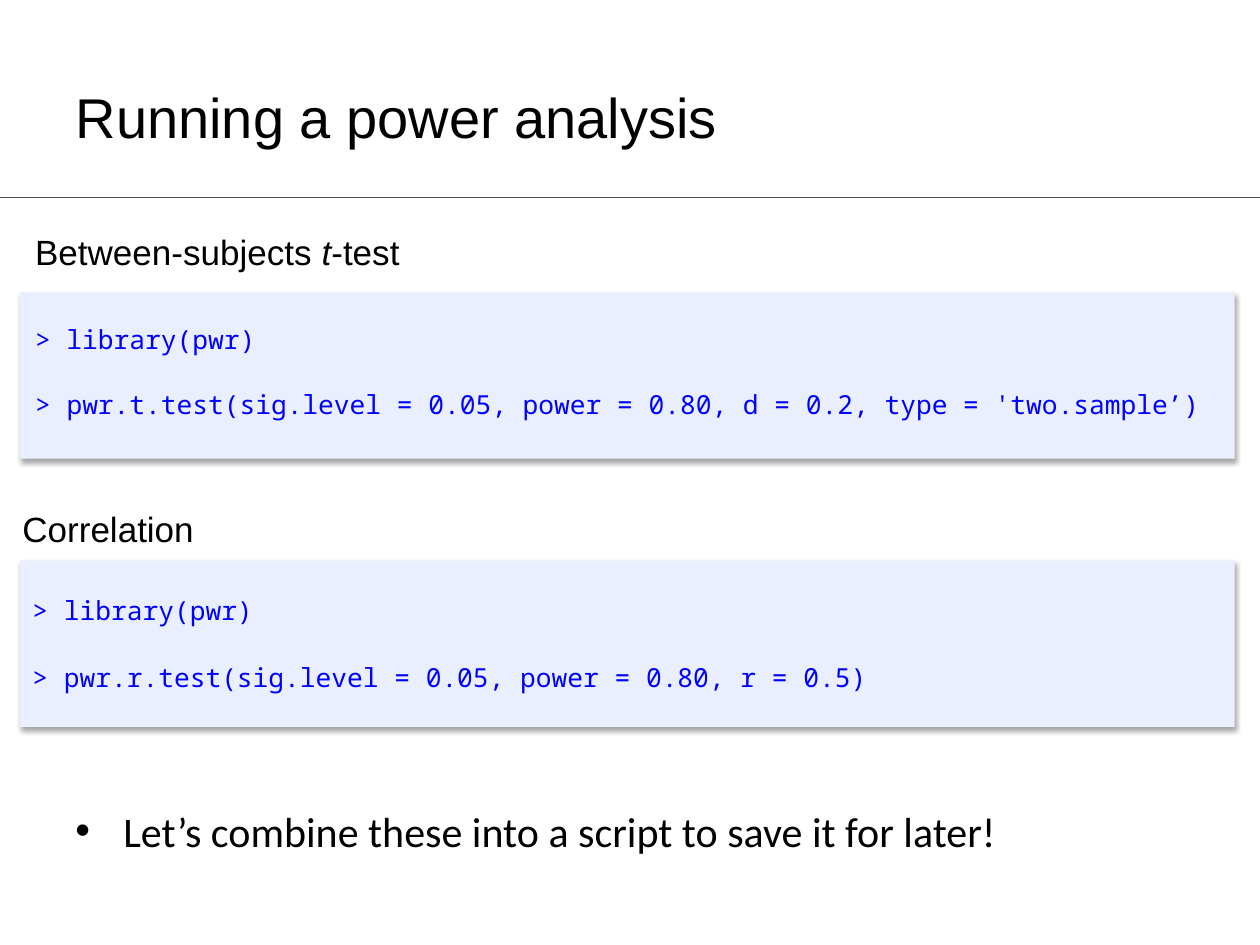
from lxml import etree
from pptx import Presentation
from pptx import util as u
from pptx.dml.color import RGBColor
from pptx.enum import shapes, text
from pptx.oxml import parse_xml
from pptx.oxml.ns import nsdecls, qn

COLORS = {"ink": "000000", "code": "0000FF", "panel": "EAEFFF", "rule": "4B4B4B"}

FORMATS = {
    "title": {"name": "Arial", "size": u.Pt(32)},
    "heading": {"name": "Arial", "size": u.Pt(20)},
    "code": {"name": "Noto Sans Mono", "size": u.Pt(15)},
    "bullet": {"name": "Calibri", "size": u.Pt(24)},
}

TITLE = "Running a power analysis"
CLOSING = "Let’s combine these into a script to save it for later!"

SECTIONS = [
    {
        "heading": [("Between-subjects ", False), ("t", True), ("-test", False)],
        "heading_at": (0.18, 1.78, 3.12, 0.44),
        "panel_top": 2.32,
        "code_left": 0.18,
        "code": [
            ("> library(pwr)", 2.52, 9.64),
            ("> pwr.t.test(sig.level = 0.05, power = 0.80, d = 0.2, type = 'two.sample’)", 3.03, 10.51),
        ],
    },
    {
        "heading": [("Correlation", False)],
        "heading_at": (0.08, 3.98, 1.57, 0.44),
        "panel_top": 4.45,
        "code_left": 0.16,
        "code": [
            ("> library(pwr)", 4.67, 9.64),
            ("> pwr.r.test(sig.level = 0.05, power = 0.80, r = 0.5)", 5.2, 7.06),
        ],
    },
]

SHADOW = (
    f'<a:effectLst {nsdecls("a")}><a:outerShdw blurRad="{u.Pt(3.1)}" dist="{u.Pt(1.8)}" '
    'dir="5400000" rotWithShape="0"><a:srgbClr val="000000"><a:alpha val="35000"/>'
    "</a:srgbClr></a:outerShdw></a:effectLst>"
)


def inches(values):
    return [u.Inches(value) for value in values]


def color(name):
    return RGBColor.from_string(COLORS[name])


def write(frame, pieces, style, ink="ink"):
    para = frame.paragraphs[0]
    para.alignment = text.PP_ALIGN.LEFT
    for words, italic in pieces:
        span = para.add_run()
        span.text = words
        span.font.italic = italic
        span.font.color.rgb = color(ink)
        for key, value in FORMATS[style].items():
            setattr(span.font, key, value)
    return para


def add_text(parent, place, pieces, style, ink="ink", wrap=False):
    frame = parent.add_textbox(*inches(place)).text_frame
    frame.word_wrap = wrap
    frame.auto_size = text.MSO_AUTO_SIZE.SHAPE_TO_FIT_TEXT
    return write(frame, pieces, style, ink)


def add_panel(parent, top):
    panel = parent.add_shape(shapes.MSO_SHAPE.RECTANGLE, *inches((0.16, top, 9.64, 1.32)))
    panel.fill.solid()
    panel.fill.fore_color.rgb = color("panel")
    panel.line.fill.background()
    panel._element.spPr.append(parse_xml(SHADOW))


def add_section(page, section):
    group = page.shapes.add_group_shape().shapes
    add_panel(group, section["panel_top"])
    for line, top, width in section["code"]:
        place = (section["code_left"], top, width, 0.35)
        add_text(group, place, [(line, False)], "code", "code", True)
    add_text(page.shapes, section["heading_at"], section["heading"], "heading")


def add_rule(page):
    rule = page.shapes.add_connector(
        shapes.MSO_CONNECTOR.STRAIGHT, *inches((10, 1.57, 0, 1.57)))
    rule.line.color.rgb = color("rule")
    rule.line.width = u.Pt(0.75)
    etree.SubElement(rule._element.spPr, qn("a:effectLst"))


def add_title(page):
    title = page.shapes.title
    title.left, title.top, title.width, title.height = inches((0.5, 0.3, 9, 1.25))
    title.text_frame.vertical_anchor = text.MSO_ANCHOR.MIDDLE
    write(title.text_frame, [(TITLE, False)], "title")


def add_closing(page):
    para = add_text(page.shapes, (0.5, 6.34, 7.59, 0.5), [(CLOSING, False)], "bullet")
    props = para._p.get_or_add_pPr()
    props.set("marL", str(u.Inches(0.38)))
    props.set("indent", str(u.Inches(-0.38)))
    etree.SubElement(props, qn("a:buFont")).set("typeface", "Arial")
    etree.SubElement(props, qn("a:buChar")).set("char", "•")


def main():
    deck = Presentation()
    deck.slide_width, deck.slide_height = inches((10, 7.5))
    page = deck.slides.add_slide(deck.slide_layouts[5])
    add_rule(page)
    add_title(page)
    for section in SECTIONS:
        add_section(page, section)
    add_closing(page)
    deck.save("out.pptx")


if __name__ == "__main__":
    main()
